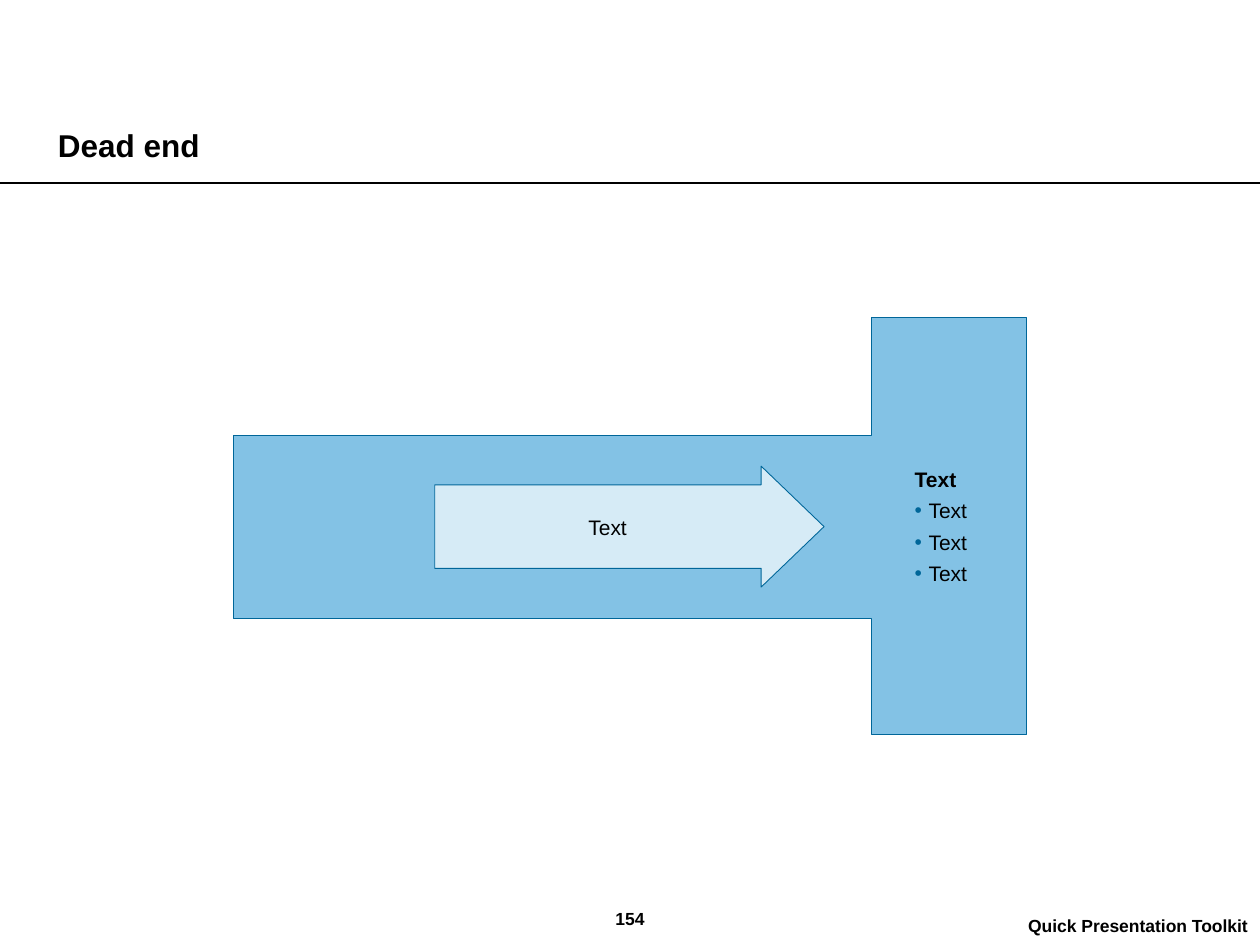
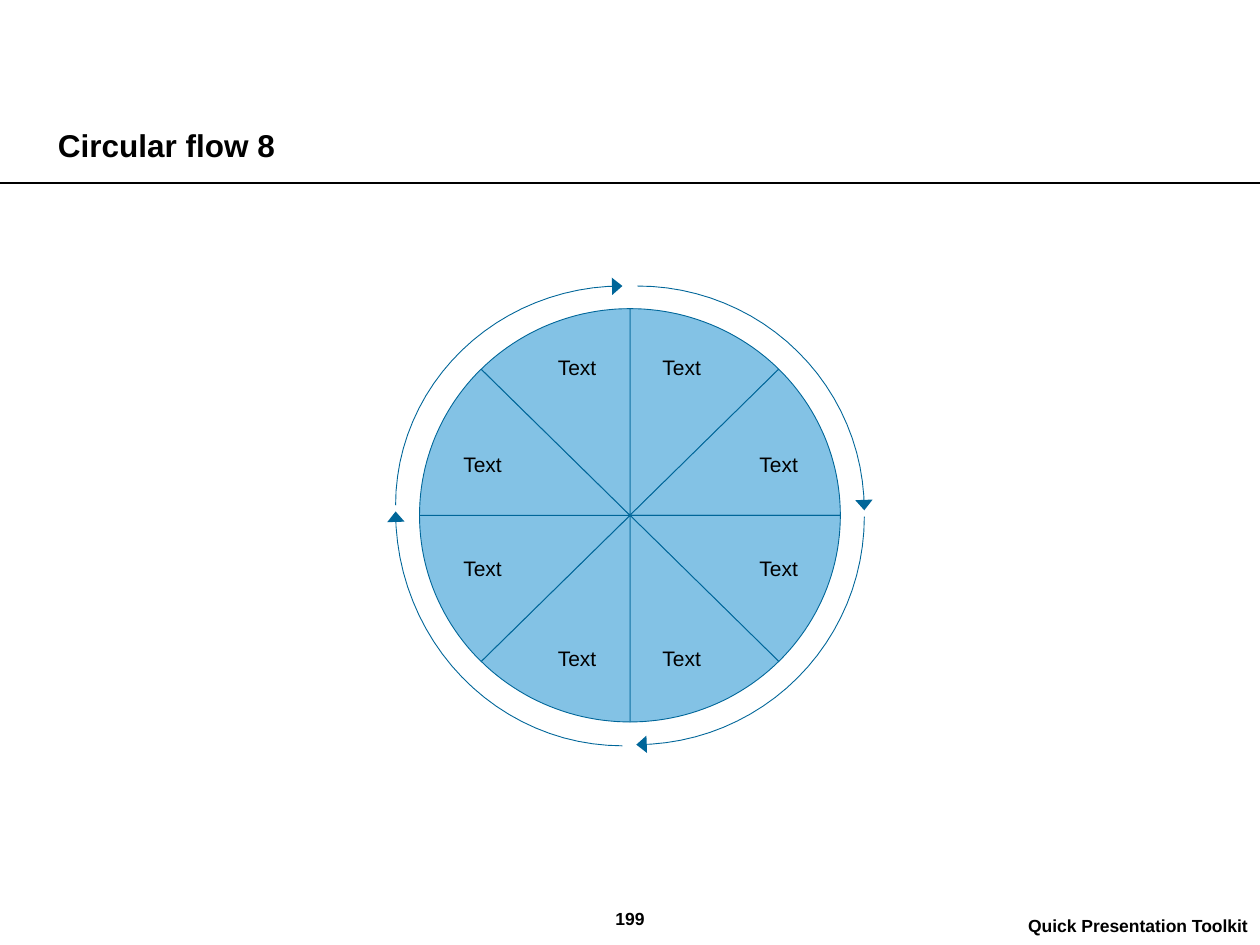
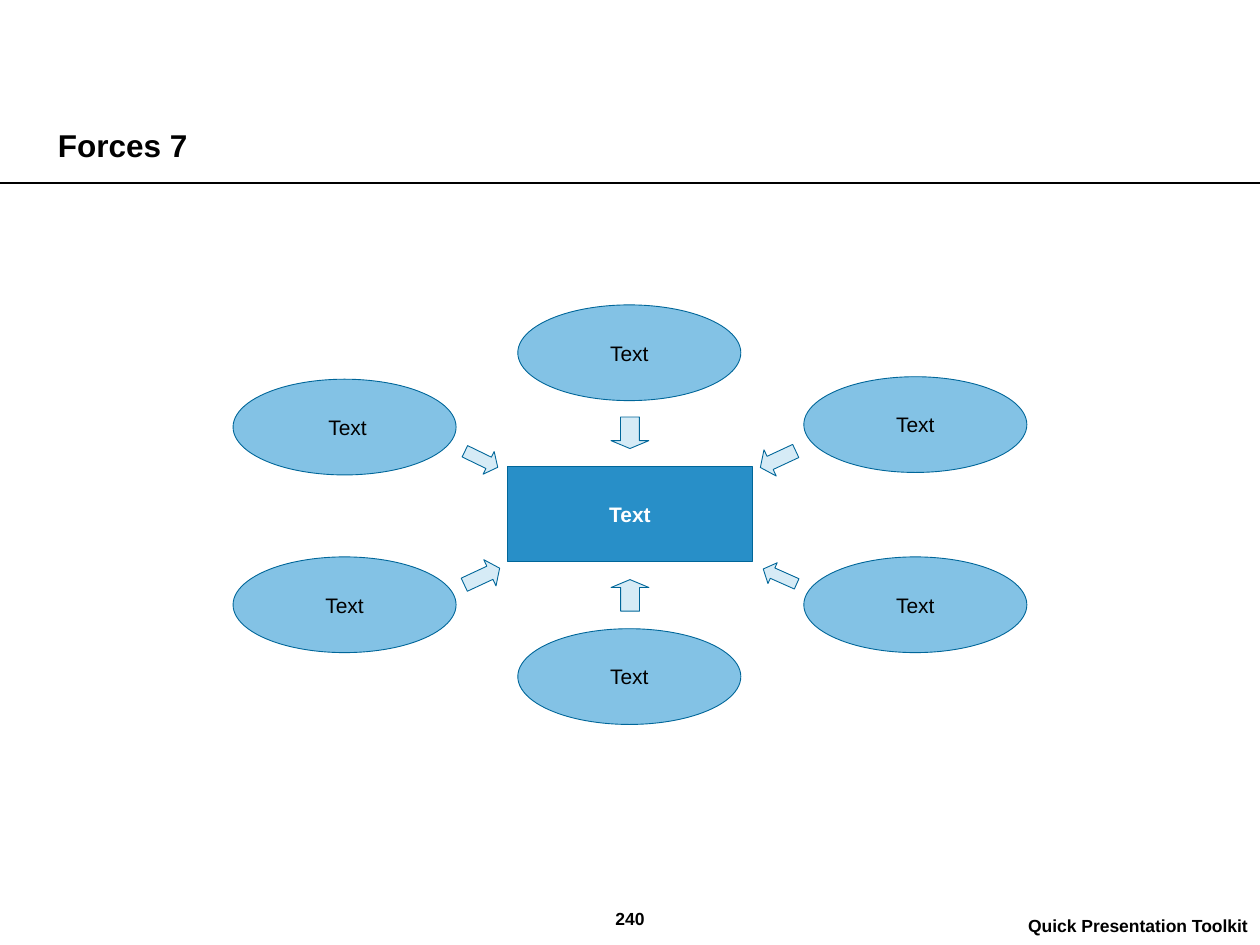
from math import cos, radians, sin

from lxml import etree
from pptx import Presentation
from pptx.dml.color import RGBColor
from pptx.enum.shapes import MSO_CONNECTOR, MSO_SHAPE
from pptx.enum.text import MSO_ANCHOR, PP_ALIGN
from pptx.oxml.ns import qn
from pptx.util import Inches, Pt

RECT, OVAL = MSO_SHAPE.RECTANGLE, MSO_SHAPE.OVAL
RIGHT_ARROW, DOWN_ARROW = MSO_SHAPE.RIGHT_ARROW, MSO_SHAPE.DOWN_ARROW
LEFT, CENTER, RIGHT = PP_ALIGN.LEFT, PP_ALIGN.CENTER, PP_ALIGN.RIGHT
MIDDLE, BOTTOM = MSO_ANCHOR.MIDDLE, MSO_ANCHOR.BOTTOM

# Shared look
W, H, RULE_Y = 10, 7.5, 1.45
FONT = "Arial"
COLORS = {"back": "C0C0C0", "paper": "FFFFFF", "ink": "000000", "line": "006699",
          "pale": "D6EBF6", "mid": "83C2E5", "strong": "288FC8"}
FOOTER = "Quick Presentation Toolkit"
INSET = (0.05,) * 4
HANG = 0.11

# Dead end
T_ROAD = [(1.85, 3.46), (6.92, 3.46), (6.92, 2.52), (8.15, 2.52),
          (8.15, 5.83), (6.92, 5.83), (6.92, 4.91), (1.85, 4.91)]
ROAD_ARROW = (3.45, 3.7, 3.09, 0.96)
ROAD_LIST = (6.93, 2.52, 1.22, 3.31)
ROAD_LIST_INSET = (0.33, 0.05, 0.05, 0.05)
ROAD_ITEMS = ["Text"] * 4

# Circular flow: wheel, and outer arcs as (centre, radii, first angle)
WHEEL, WHEEL_R, SECTORS = (5, 4.09), (1.67, 1.64), 8
ARCS = [((5.06, 4.05), (1.8, 1.78), -90), ((5.05, 4.1), (1.81, 1.81), 0),
        ((4.94, 4.06), (1.8, 1.86), 90), ((4.94, 4.01), (1.8, 1.74), 180)]
COLS, ROWS = (3.83, 4.58, 5.41, 6.18), (2.91, 3.68, 4.51, 5.22)
WHEEL_CELLS = [(1, 0), (2, 0), (0, 1), (3, 1), (0, 2), (3, 2), (1, 3), (2, 3)]
LABEL_W, LABEL_H = 0.42, 0.28

# Forces
CORE = (4.03, 3.7, 1.94, 0.76)
FORCE_SIZE = (1.77, 0.76)
FORCES = [(4.11, 2.42), (4.11, 4.99), (6.38, 4.42), (1.85, 4.42), (6.38, 2.99), (1.85, 3.01)]
NUDGED = (1.85, 3.01)
# (box, rotation, head share)
FORCE_ARROWS = [((3.71, 4.42, 0.23, 0.31), 245, 0.37), ((4.85, 4.6, 0.3, 0.25), 180, 0.25),
                ((4.85, 3.31, 0.3, 0.25), 0, 0.25), ((6.06, 3.49, 0.23, 0.31), 65, 0.37),
                ((6.1, 4.43, 0.18, 0.29), 114, 0.45), ((3.72, 3.5, 0.2, 0.29), 296, 0.4)]


def rgb(name):
    return RGBColor.from_string(COLORS[name])


def inches(values):
    return [Inches(v) for v in values]


def style(sp, fill=None, line="line"):
    sp.shadow.inherit = False
    if fill:
        sp.fill.solid()
        sp.fill.fore_color.rgb = rgb(fill)
    else:
        sp.fill.background()
    if line:
        sp.line.color.rgb = rgb(line)
        sp.line.width = Pt(0.5)
    else:
        sp.line.fill.background()


def frame(sp, inset=INSET, anchor=MIDDLE, wrap=False):
    tf = sp.text_frame
    tf.word_wrap = wrap
    tf.vertical_anchor = anchor
    for side, v in zip(("left", "top", "right", "bottom"), inset):
        setattr(tf, f"margin_{side}", Inches(v))
    return tf


def write(p, text, align=CENTER, size=12, bold=False, color="ink"):
    p.alignment = align
    r = p.add_run()
    r.text = text
    for key, v in {"name": FONT, "size": Pt(size), "bold": bold}.items():
        setattr(r.font, key, v)
    r.font.color.rgb = rgb(color)


def add_shape(s, kind, box, fill, text=None, line="line", inset=INSET, **fmt):
    sp = s.shapes.add_shape(kind, *inches(box))
    style(sp, fill, line)
    if text:
        write(frame(sp, inset).paragraphs[0], text, **fmt)
    return sp


def add_text(s, box, text, inset=INSET, anchor=MIDDLE, wrap=False, **fmt):
    sp = s.shapes.add_textbox(*inches(box))
    write(frame(sp, inset, anchor, wrap).paragraphs[0], text, **fmt)


def add_outline(s, points, fill=None, close=True):
    start, *rest = [inches(pt) for pt in points]
    fb = s.shapes.build_freeform(*start)
    fb.add_line_segments(rest, close=close)
    sp = fb.convert_to_shape()
    style(sp, fill)
    return sp


def arc(center, radii, first, sweep, steps=24):
    angles = [radians(first + sweep * i / steps) for i in range(steps + 1)]
    return [(center[0] + radii[0] * cos(a), center[1] + radii[1] * sin(a)) for a in angles]


def add_bullet(p):
    pPr = p._p.get_or_add_pPr()
    clr = etree.SubElement(pPr, qn("a:buClr"))
    etree.SubElement(clr, qn("a:srgbClr"), val=COLORS["line"])
    etree.SubElement(pPr, qn("a:buFont"), typeface=FONT)
    etree.SubElement(pPr, qn("a:buChar"), char="•")
    pPr.set("marL", str(Inches(HANG)))
    pPr.set("indent", str(-Inches(HANG)))


def new_slide(prs, title, number):
    s = prs.slides.add_slide(prs.slide_layouts[6])
    s.background.fill.solid()
    s.background.fill.fore_color.rgb = rgb("back")
    for top, bottom in ((0, RULE_Y), (RULE_Y, H)):
        add_shape(s, RECT, (0, top, W, bottom - top), "paper", line=None)
    rule = s.shapes.add_connector(MSO_CONNECTOR.STRAIGHT, *inches((0, RULE_Y, W, RULE_Y)))
    rule.line.color.rgb = rgb("ink")
    rule.line.width = Pt(1)
    etree.SubElement(rule._element.spPr, qn("a:effectLst"))
    add_text(s, (6.15, 6.98, 3.85, 0.5), FOOTER, (0.1, 0.05, 0.1, 0.05), BOTTOM, True,
             align=RIGHT, size=10, bold=True)
    add_text(s, (3.85, 6.98, 2.3, 0.52), str(number), (0.1, 0.05, 0.1, 0.13), BOTTOM, True,
             size=10, bold=True)
    add_text(s, (0.46, 0.67, 9.08, 0.63), title, (0,) * 4, BOTTOM, True,
             align=LEFT, size=18, bold=True)
    return s


def dead_end(s):
    add_outline(s, T_ROAD, "mid")
    tf = frame(s.shapes.add_textbox(*inches(ROAD_LIST)), ROAD_LIST_INSET, wrap=True)
    for i, item in enumerate(ROAD_ITEMS):
        p = tf.add_paragraph() if i else tf.paragraphs[0]
        if i:
            p.space_before = Pt(3.6)
            add_bullet(p)
        write(p, item, align=LEFT, bold=not i)
    arrow = add_shape(s, RIGHT_ARROW, ROAD_ARROW, "pale", "Text")
    arrow.adjustments[0], arrow.adjustments[1] = 0.69, 0.52


def circular_flow(s):
    sweep = 360 / SECTORS
    for i in range(SECTORS):
        add_outline(s, [WHEEL] + arc(WHEEL, WHEEL_R, i * sweep - 90, sweep), "mid")
    for center, radii, first in ARCS:
        sp = add_outline(s, arc(center, radii, first, 90), close=False)
        etree.SubElement(sp.line._get_or_add_ln(), qn("a:tailEnd"), type="triangle", w="lg")
    for col, row in WHEEL_CELLS:
        box = (COLS[col] - LABEL_W / 2, ROWS[row] - LABEL_H / 2, LABEL_W, LABEL_H)
        add_text(s, box, "Text")


def forces(s):
    add_shape(s, RECT, CORE, "strong", "Text", bold=True, color="paper")
    for pos in FORCES:
        inset = (0.1, 0.05, 0.05, 0.05) if pos == NUDGED else INSET
        add_shape(s, OVAL, pos + FORCE_SIZE, "mid", "Text", inset=inset)
    for box, turn, head in FORCE_ARROWS:
        sp = add_shape(s, DOWN_ARROW, box, "pale")
        sp.rotation = turn
        sp.adjustments[1] = head


SLIDES = [("Dead end", 154, dead_end), ("Circular flow 8", 199, circular_flow),
          ("Forces 7", 240, forces)]


def main():
    prs = Presentation()
    prs.slide_width, prs.slide_height = inches((W, H))
    for title, number, draw in SLIDES:
        draw(new_slide(prs, title, number))
    prs.save("out.pptx")


if __name__ == "__main__":
    main()
